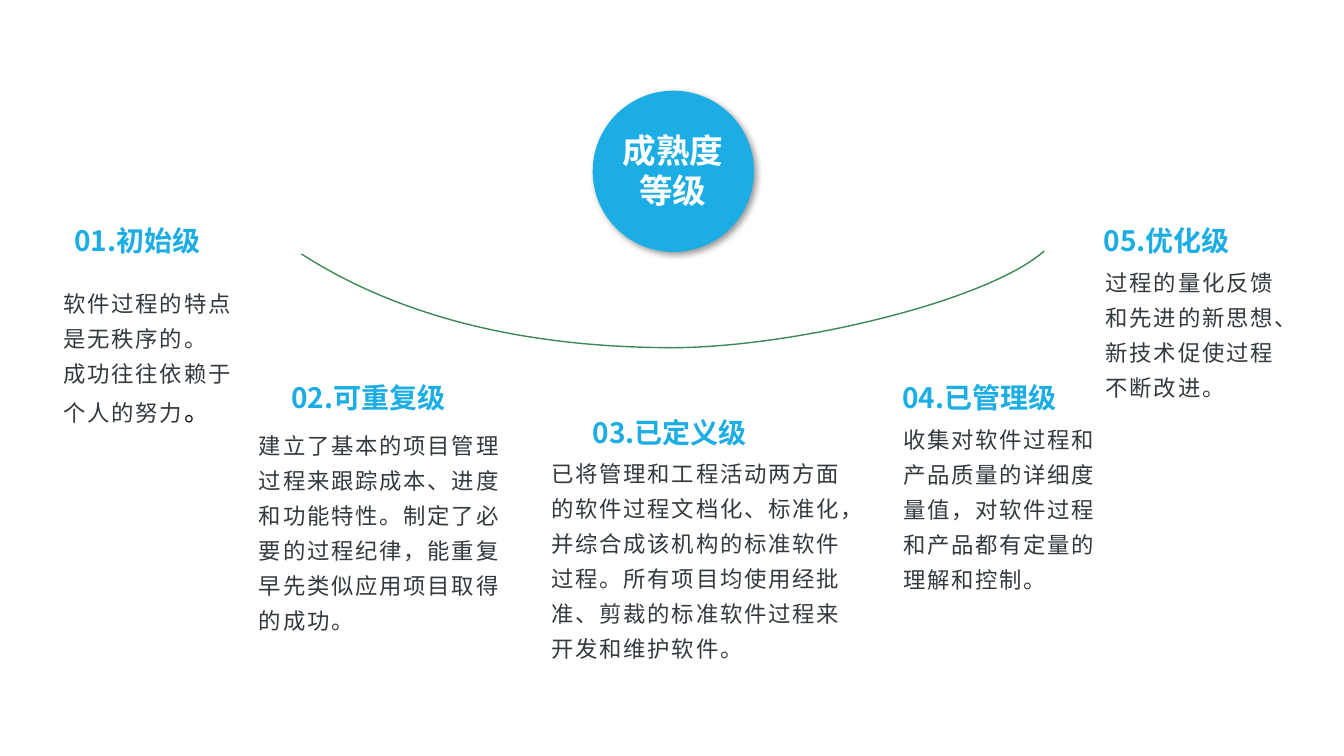
from dataclasses import dataclass
from typing import Any

from lxml import etree
from pptx import Presentation
from pptx import util as u
from pptx.dml.color import RGBColor
from pptx.enum import shapes, text
from pptx.oxml import ns

BLUE = RGBColor(0x1C, 0xAD, 0xE4)
GREEN = RGBColor(0x3E, 0x88, 0x53)
SLATE = RGBColor(0x33, 0x3A, 0x3E)
WHITE = RGBColor(0xFF, 0xFF, 0xFF)
BLACK = RGBColor(0x00, 0x00, 0x00)
FACE = "Noto Sans CJK SC"
COLS = ROWS = 100
HEAD_ROWS = 5.87
LINE_ROWS = 4.66
PAD_ROWS = 0.96
STEPS = 40

HUB = {"size": u.Pt(24), "bold": True, "color": WHITE}
HEAD = {"size": u.Pt(20), "bold": True, "color": BLUE}
BODY = {"size": u.Pt(16), "bold": False, "color": SLATE, "spacing": 1.3}
STOP = {"size": u.Pt(18), "bold": False, "color": BLACK}

prs = Presentation()
prs.slide_width, prs.slide_height = u.Inches(13.333), u.Inches(7.5)


@dataclass(frozen=True)
class Box:
    col: float
    row: float
    cols: float
    rows: float


@dataclass(frozen=True)
class Level:
    name: str
    head: Box
    body: Box
    paragraphs: tuple[str, ...]
    stop: str = ""


def x(cols: float) -> int:
    return round(prs.slide_width * cols / COLS)


def y(rows: float) -> int:
    return round(prs.slide_height * rows / ROWS)


def place(box: Box) -> tuple[int, int, int, int]:
    return x(box.col), y(box.row), x(box.cols), y(box.rows)


def head_box(col: float, row: float, cols: float) -> Box:
    return Box(col, row, cols, HEAD_ROWS)


def body_box(col: float, row: float, cols: float, lines: int) -> Box:
    return Box(col, row, cols, PAD_ROWS + LINE_ROWS * lines)


def add_run(p: Any, words: str, style: dict[str, Any]) -> None:
    r = p.add_run()
    r.text = words
    for key, value in style.items():
        if key == "color":
            r.font.color.rgb = value
        elif key == "spacing":
            r.font._element.set("spc", str(round(value * 100)))
        else:
            setattr(r.font, key, value)
    r.font.name = FACE
    etree.SubElement(r.font._element, ns.qn("a:ea")).set("typeface", FACE)


def write(sp: Any, paragraphs: tuple[str, ...], style: dict[str, Any],
          align: Any, leading: float = 1.0) -> Any:
    tf = sp.text_frame
    frame = {
        "word_wrap": True, "auto_size": text.MSO_AUTO_SIZE.NONE,
        "vertical_anchor": text.MSO_ANCHOR.TOP,
        "margin_left": u.Inches(0.1), "margin_right": u.Inches(0.1),
        "margin_top": u.Inches(0.05), "margin_bottom": u.Inches(0.05),
    }
    for key, value in frame.items():
        setattr(tf, key, value)
    for i, words in enumerate(paragraphs):
        p = tf.add_paragraph() if i else tf.paragraphs[0]
        p.alignment, p.line_spacing = align, leading
        add_run(p, words, style)
    return tf


def add_hub(s: Any, box: Box) -> None:
    sp = s.shapes.add_shape(shapes.MSO_SHAPE.OVAL, *place(box))
    sp.fill.solid()
    sp.fill.fore_color.rgb = BLUE
    sp.line.fill.background()
    sp.shadow.inherit = False
    effects = sp.element.spPr.find(ns.qn("a:effectLst"))
    shadow = etree.SubElement(effects, ns.qn("a:outerShdw"), {
        "blurRad": str(u.Pt(5)), "dist": str(u.Pt(3)), "dir": "2700000",
        "algn": "tl", "rotWithShape": "0"})
    color = etree.SubElement(shadow, ns.qn("a:srgbClr"), val=str(BLACK))
    etree.SubElement(color, ns.qn("a:alpha"), val="40000")


def bezier(knots: list[tuple[float, float]], t: float) -> tuple[int, int]:
    weights = ((1 - t) ** 3, 3 * t * (1 - t) ** 2, 3 * t ** 2 * (1 - t), t ** 3)
    col, row = (sum(w * k for w, k in zip(weights, axis)) for axis in zip(*knots))
    return x(col), y(row)


def add_arc(s: Any, knots: list[tuple[float, float]]) -> None:
    points = [bezier(knots[i:i + 4], n / STEPS)
              for i in range(0, len(knots) - 1, 3) for n in range(1, STEPS + 1)]
    builder = s.shapes.build_freeform(x(knots[0][0]), y(knots[0][1]))
    builder.add_line_segments(points, close=False)
    sp = builder.convert_to_shape()
    sp.fill.background()
    sp.line.color.rgb = GREEN
    sp.line.width = u.Pt(1)
    sp.shadow.inherit = False


def add_level(s: Any, level: Level) -> None:
    left = text.PP_ALIGN.LEFT
    write(s.shapes.add_textbox(*place(level.head)), (level.name,), HEAD, left)
    sp = s.shapes.add_textbox(*place(level.body))
    tf = write(sp, level.paragraphs, BODY, left, 1.3)
    if level.stop:
        add_run(tf.paragraphs[-1], level.stop, STOP)


LEVELS = (
    Level("01.初始级", head_box(4.8, 28.93, 13.35), body_box(3.98, 36.67, 14.63, 4),
          ("软件过程的特点是无秩序的。", "成功往往依赖于个人的努力"), "。"),
    Level("02.可重复级", head_box(20.93, 49.73, 15), body_box(18.53, 55.47, 21.23, 6),
          ("建立了基本的项目管理过程来跟踪成本、进度和功能特性。制定了必要的过程纪律，"
           "能重复早先类似应用项目取得的成功。",)),
    Level("03.已定义级", head_box(43.35, 54.27, 15), body_box(40.28, 59.2, 24.3, 6),
          ("已将管理和工程活动两方面的软件过程文档化、标准化，并综合成该机构的标准软件过程。"
           "所有项目均使用经批准、剪裁的标准软件过程来开发和维护软件。",)),
    Level("04.已管理级", head_box(66.38, 49.73, 14.55), body_box(66.45, 54.67, 16.88, 5),
          ("收集对软件过程和产品质量的详细度量值，对软件过程和产品都有定量的理解和控制。",)),
    Level("05.优化级", head_box(81.38, 28.93, 14.4), body_box(81.53, 33.87, 15.3, 4),
          ("过程的量化反馈和先进的新思想、新技术促使过程不断改进。",)),
)
ARC = [(22.43, 33.6), (30.83, 43.2), (40.95, 46), (50.18, 46),
       (59.4, 45.87), (73.58, 39.73), (77.7, 33.2)]

s = prs.slides.add_slide(prs.slide_layouts.get_by_name("Title Only"))
add_hub(s, Box(44.1, 12, 12, 21.33))
add_arc(s, ARC)
title = s.shapes.title
title.left, title.top, title.width, title.height = place(Box(40.28, 16.53, 19.58, 12.13))
write(title, ("成熟度", "等级"), HUB, text.PP_ALIGN.CENTER)
s.shapes.element.append(title.element)
for level in LEVELS:
    add_level(s, level)
prs.save("out.pptx")
